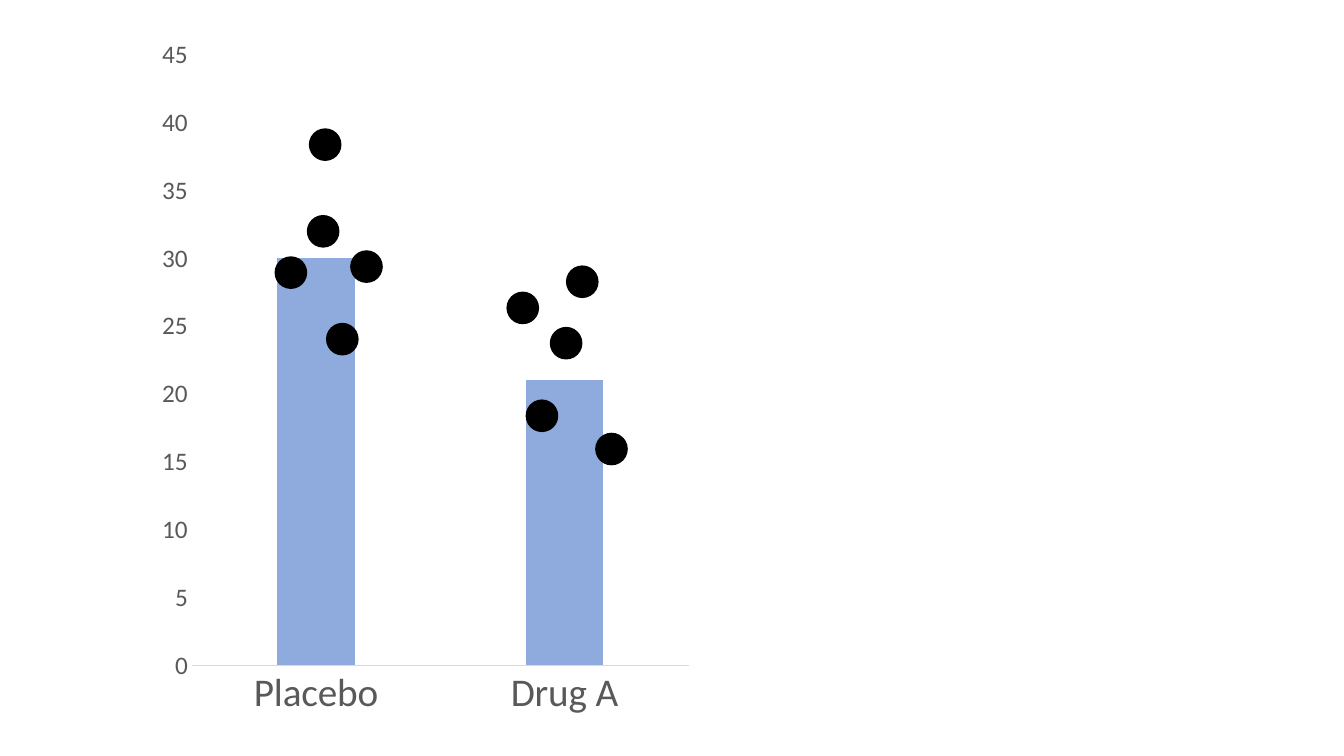
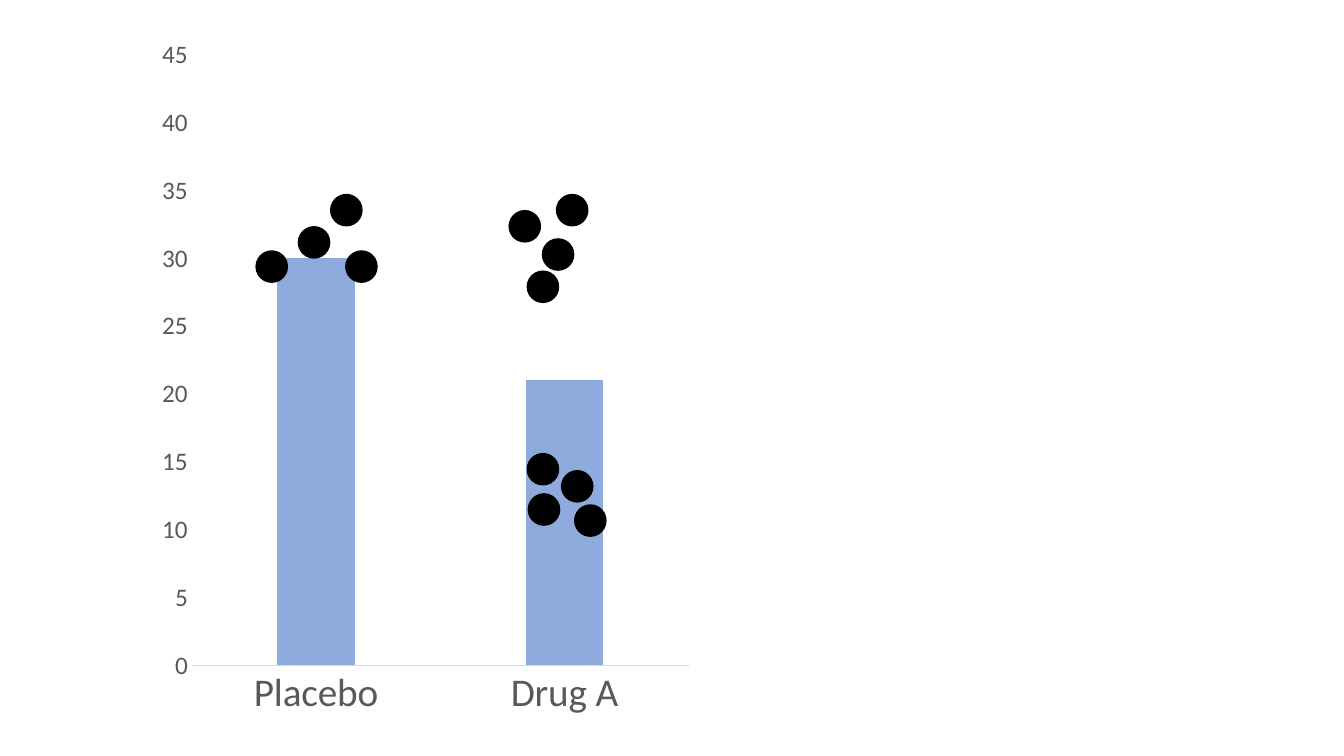
import pptx
import pptx.chart.data
import pptx.dml.color
import pptx.enum.chart
import pptx.enum.shapes
import pptx.util

EMU_PER_PX = 9144  # 100 px to the inch
SLIDE_SIZE = (1333, 750)
CHART_BOX = (150, 25, 544, 700)
DOT_SIZE = 31

FONT = "Calibri"
BLACK = "000000"
LABEL_GREY = "595959"
AXIS_GREY = "D9D9D9"
BAR_BLUE = "8FAADC"

GROUP_MEANS = {"Placebo": 30, "Drug A": 21}
VALUE_SCALE = {"minimum_scale": 0, "maximum_scale": 45, "major_unit": 5}
BAR_SPACING = {"gap_width": 219, "overlap": -27, "vary_by_categories": False}

# Left and top of each observation's dot, one list per treatment group
SPREAD_AROUND_MEAN = [
    [(307, 128), (305, 214), (348, 249), (273, 255), (324, 321)],
    [(562, 264), (503, 290), (546, 325), (591, 430), (522, 397)],
]
TWO_CLUSTERS = [
    [(296, 225), (254, 249), (328, 193), (343, 249)],
    [(523, 450), (557, 467), (570, 501), (524, 490),
     (505, 209), (552, 193), (538, 237), (523, 269)],
]


def px(length):
    return pptx.util.Emu(length * EMU_PER_PX)


def rgb(hex_colour):
    return pptx.dml.color.RGBColor.from_string(hex_colour)


def set_attributes(target, values):
    for name, value in values.items():
        setattr(target, name, value)


def style_font(font, size, colour):
    set_attributes(font, {"name": FONT, "size": pptx.util.Pt(size)})
    font.color.rgb = rgb(colour)


def style_axis(axis, label_size):
    no_ticks = pptx.enum.chart.XL_TICK_MARK.NONE
    set_attributes(axis, {
        "major_tick_mark": no_ticks,
        "minor_tick_mark": no_ticks,
        "has_major_gridlines": False,
    })
    style_font(axis.tick_labels.font, label_size, LABEL_GREY)


def add_means_chart(slide):
    means = pptx.chart.data.CategoryChartData()
    means.categories = list(GROUP_MEANS)
    means.add_series("Series 1", list(GROUP_MEANS.values()))
    chart = slide.shapes.add_chart(
        pptx.enum.chart.XL_CHART_TYPE.COLUMN_CLUSTERED,
        *map(px, CHART_BOX), means).chart
    set_attributes(chart, {"has_title": False, "has_legend": False})
    style_font(chart.font, 28, BLACK)

    style_axis(chart.category_axis, 28)
    baseline = chart.category_axis.format.line
    baseline.color.rgb = rgb(AXIS_GREY)
    baseline.width = pptx.util.Pt(0.75)

    style_axis(chart.value_axis, 18)
    set_attributes(chart.value_axis, VALUE_SCALE)
    chart.value_axis.format.line.fill.background()

    bars = chart.plots[0]
    set_attributes(bars, BAR_SPACING)
    bar_fill = bars.series[0].format.fill
    bar_fill.solid()
    bar_fill.fore_color.rgb = rgb(BAR_BLUE)


def add_dot(shapes, left, top):
    dot = shapes.add_shape(
        pptx.enum.shapes.MSO_SHAPE.OVAL,
        *map(px, (left, top, DOT_SIZE, DOT_SIZE)))
    dot.shadow.inherit = False
    dot.fill.solid()
    dot.fill.fore_color.rgb = rgb(BLACK)
    dot.line.color.rgb = rgb(BLACK)
    dot.line.width = pptx.util.Pt(1)


def add_observations(slide, positions):
    """Group the dots of one treatment group."""
    observations = slide.shapes.add_group_shape()
    for left, top in positions:
        add_dot(observations.shapes, left, top)


def main():
    presentation = pptx.Presentation()
    width, height = map(px, SLIDE_SIZE)
    set_attributes(presentation, {"slide_width": width, "slide_height": height})
    blank_layout = presentation.slide_layouts[6]
    for treatment_groups in (SPREAD_AROUND_MEAN, TWO_CLUSTERS):
        slide = presentation.slides.add_slide(blank_layout)
        add_means_chart(slide)
        for positions in treatment_groups:
            add_observations(slide, positions)
    presentation.save("out.pptx")


if __name__ == "__main__":
    main()
